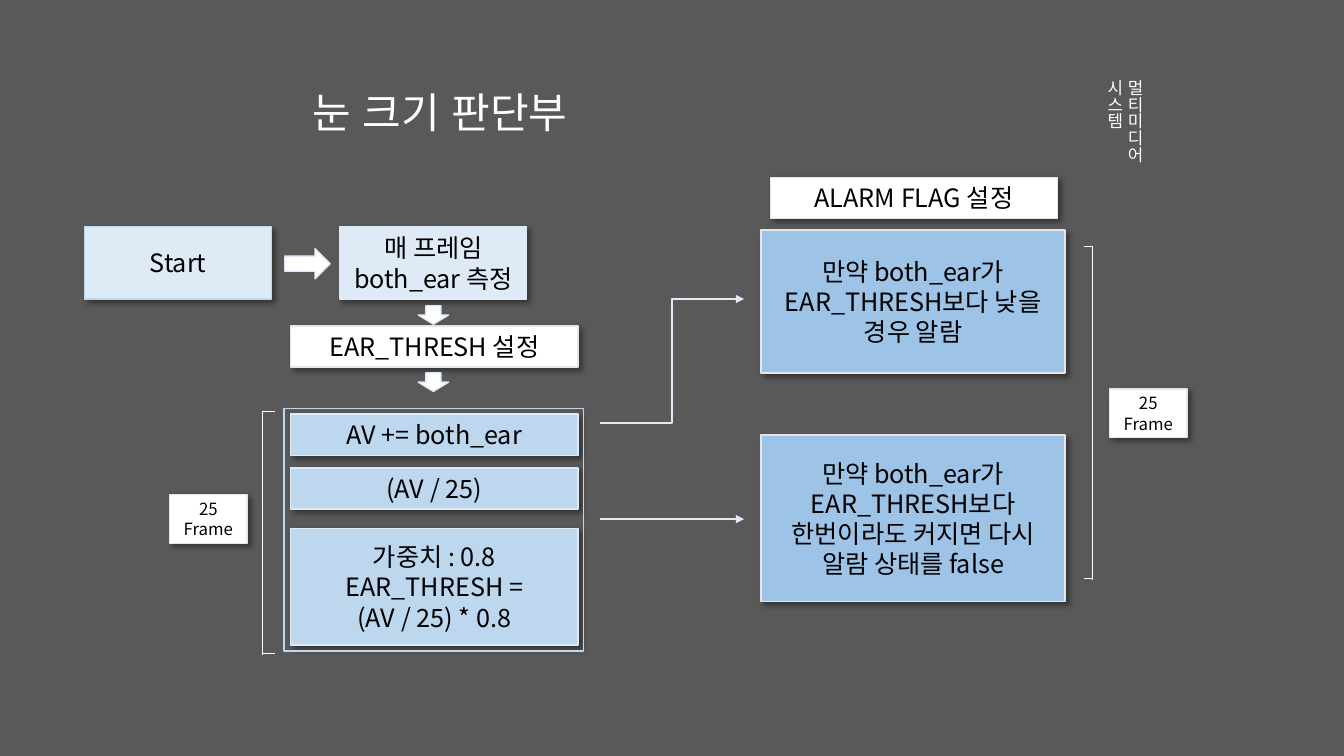
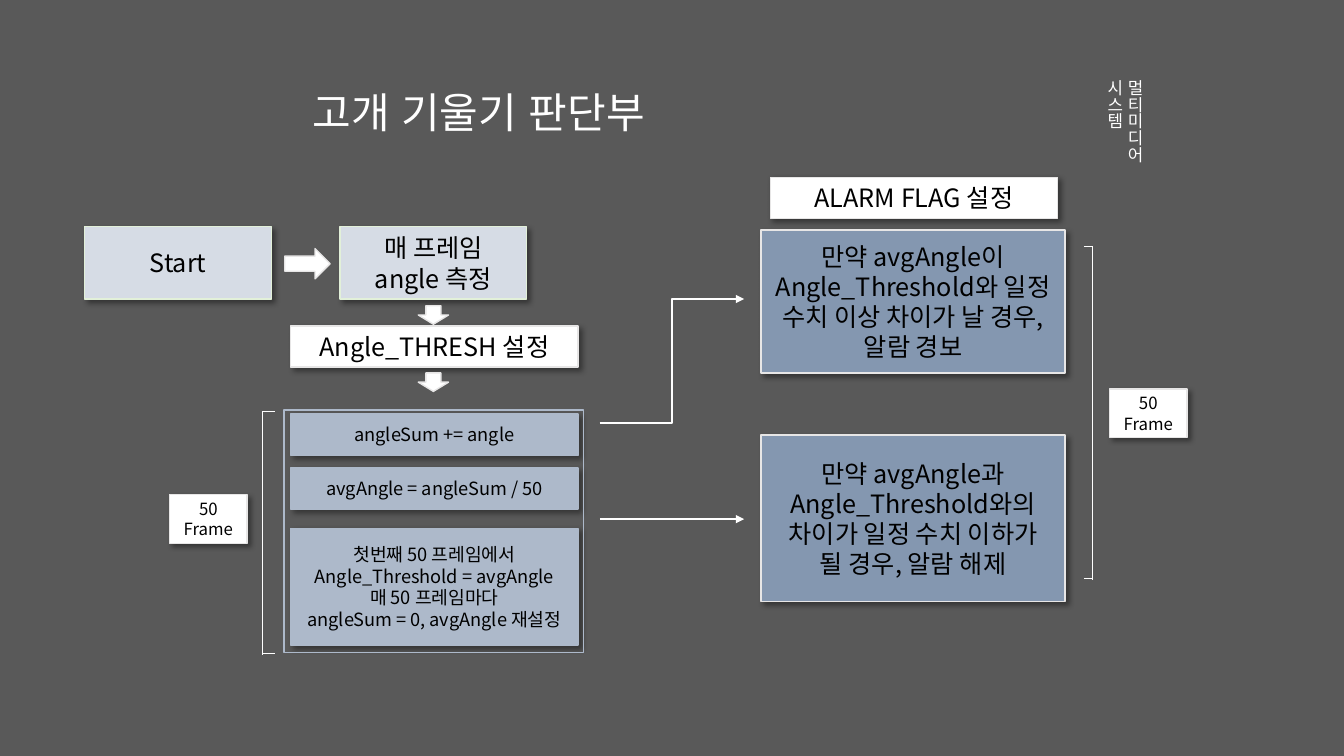
from lxml import etree
from pptx import Presentation
from pptx import util as u
from pptx.dml import color
from pptx.enum import shapes, text
from pptx.oxml import ns

COLS, ROWS = 160, 90
DARK, WHITE, BLACK, GREY = "595959", "FFFFFF", "000000", "E7E6E6"
SANS, HEAD = "Noto Sans CJK KR", "Arial"

FLOWS = [
    dict(
        title="눈 크기 판단부", span=36.2,
        heads=["Start", "매 프레임 both_ear 측정"],
        goal="EAR_THRESH 설정",
        steps=["AV += both_ear", "(AV / 25)",
               "가중치 : 0.8\nEAR_THRESH =\n(AV / 25) * 0.8"],
        flags=["만약 both_ear가\nEAR_THRESH보다 낮을 경우 알람",
               "만약 both_ear가\nEAR_THRESH보다 한번이라도 커지면 다시\n알람 상태를 false"],
        tag="25\nFrame", size=18, top=48.6,
        pale="DEEBF7", mid="BDD7EE", deep="9DC3E6",
        rims=["BDD7EE", "DEEBF7"], edge="DEEBF7", tip="DEEBF7", link="DEEBF7",
    ),
    dict(
        title="고개 기울기 판단부", span=46.3,
        heads=["Start", "매 프레임 angle 측정"],
        goal="Angle_THRESH 설정",
        steps=["angleSum += angle", "avgAngle = angleSum / 50",
               "첫번째 50 프레임에서\nAngle_Threshold = avgAngle\n"
               "매 50 프레임마다\nangleSum = 0, avgAngle 재설정"],
        flags=["만약 avgAngle이 Angle_Threshold와 일정 수치 이상 차이가 날 경우, 알람 경보",
               "만약 avgAngle과 Angle_Threshold와의\n차이가 일정 수치 이하가\n될 경우, 알람 해제"],
        tag="50\nFrame", size=13, top=48.8,
        pale="D6DCE5", mid="ADB9CA", deep="8497B0",
        rims=["E2F0D9", "E2F0D9"], edge="ADB9CA", tip=GREY, link=WHITE,
    ),
]


def hue(code):
    return color.RGBColor.from_string(code)


def sub(node, tag, **attrs):
    return etree.SubElement(node, ns.qn(tag), attrs)


class Deck:
    def __init__(self):
        self.prs = Presentation()
        self.prs.slide_width = u.Inches(13.33)
        self.prs.slide_height = u.Inches(7.5)
        back = self.prs.slide_master.background.fill
        back.solid()
        back.fore_color.rgb = hue(DARK)

    def at(self, *spots):
        sides = (self.prs.slide_width / COLS, self.prs.slide_height / ROWS)
        return [u.Emu(round(n * sides[i % 2])) for i, n in enumerate(spots)]

    def put(self, frame, words, size, ink, font=SANS, align=text.PP_ALIGN.LEFT):
        frame.text = words
        for para in frame.paragraphs:
            para.alignment = align
            for run in para.runs:
                run.font.size = u.Pt(size)
                run.font.color.rgb = hue(ink)
                run.font.name = font
                sub(run._r.get_or_add_rPr(), "a:ea", typeface=font)

    def page(self, title, span):
        self.slide = self.prs.slides.add_slide(self.prs.slide_layouts[5])
        head = self.slide.shapes.title
        head.left, head.top, head.width, head.height = self.at(36, 9.7, span, 7.3)
        frame = head.text_frame
        self.put(frame, title, 30, WHITE, HEAD)
        frame.word_wrap = False
        frame.auto_size = text.MSO_AUTO_SIZE.SHAPE_TO_FIT_TEXT
        frame.vertical_anchor = text.MSO_ANCHOR.TOP
        self.label("멀티미디어 시스템", 132.1, 8.3, 4.8, 18.7)

    def label(self, words, *spot):
        item = self.slide.shapes.add_textbox(*self.at(*spot))
        frame = item.text_frame
        frame.word_wrap = True
        frame.auto_size = text.MSO_AUTO_SIZE.SHAPE_TO_FIT_TEXT
        item._element.txBody.find(ns.qn("a:bodyPr")).set("vert", "eaVert")
        self.put(frame, words, 12, WHITE)

    def shape(self, kind, spot, fill, rim):
        item = self.slide.shapes.add_shape(kind, *self.at(*spot))
        item.shadow.inherit = False
        if fill:
            item.fill.solid()
            item.fill.fore_color.rgb = hue(fill)
        else:
            item.fill.background()
        item.line.color.rgb = hue(rim)
        item.line.width = u.Pt(1)
        return item

    def box(self, words, spot, fill=WHITE, rim=GREY, size=18):
        item = self.shape(shapes.MSO_SHAPE.RECTANGLE, spot, fill, rim)
        glow = sub(item._element.spPr.find(ns.qn("a:effectLst")), "a:outerShdw",
                   blurRad=str(u.Pt(4)), dist=str(u.Pt(3)), dir="2700000",
                   algn="tl", rotWithShape="0")
        sub(sub(glow, "a:srgbClr", val=BLACK), "a:alpha", val="40000")
        frame = item.text_frame
        frame.word_wrap = True
        frame.vertical_anchor = text.MSO_ANCHOR.MIDDLE
        self.put(frame, words, size, BLACK, align=text.PP_ALIGN.CENTER)

    def outline(self, spot, rim):
        self.shape(shapes.MSO_SHAPE.RECTANGLE, spot, None, rim)

    def arrow(self, spot, rim, down=True):
        kind = shapes.MSO_SHAPE.DOWN_ARROW if down else shapes.MSO_SHAPE.RIGHT_ARROW
        self.shape(kind, spot, WHITE, rim)

    def line(self, spot, ink=WHITE, width=0.5, tip=False, bent=False):
        kind = shapes.MSO_CONNECTOR.ELBOW if bent else shapes.MSO_CONNECTOR.STRAIGHT
        item = self.slide.shapes.add_connector(kind, *self.at(*spot))
        item.line.color.rgb = hue(ink)
        item.line.width = u.Pt(width)
        props = item._element.spPr
        if tip:
            sub(props.find(ns.qn("a:ln")), "a:tailEnd", type="triangle")
        sub(props, "a:effectLst")

    def bracket(self, x, top, end, tick):
        self.line((x, top, x, end + 0.2))
        for y in (top, end):
            self.line((x, y, x + tick, y))

    def flow(self, data):
        self.page(data["title"], data["span"])
        for x, words, rim in zip((10.1, 40.5), data["heads"], data["rims"]):
            self.box(words, (x, 27, 22.2, 8.6), data["pale"], rim)
        left, wide, low = 34.6, 34.2, 4.9
        for y, high, words in zip((49.3, 55.7, 62.9), (low, low, 13.9), data["steps"]):
            self.box(words, (left, y, wide, high), data["mid"], data["edge"], data["size"])
        for y, high, words in zip((27.4, 51.8), (17, 19.8), data["flags"]):
            self.box(words, (90.6, y, 36.2, high), data["deep"])
        self.box(data["goal"], (left, 38.8, wide, low))
        self.box("ALARM FLAG 설정", (91.7, 21.1, wide, low))
        for y in (36.4, 44.4):
            self.arrow((49.8, y, 3.6, 2.2), data["tip"])
        self.arrow((33.9, 29.6, 5.4, 3.6), data["tip"], down=False)
        self.outline((33.8, data["top"], 35.7, 28.9), data["mid"])
        self.bracket(31.2, 49, 77.8, 1.5)
        self.bracket(130, 29.3, 68.9, -1)
        for x, y in ((20.2, 58.9), (132.1, 46.3)):
            self.box(data["tag"], (x, y, 9.2, 5.8), size=12)
        for y, end in ((50.4, 35.6), (61.8, 61.8)):
            self.line((71.4, y, 88.6, end), data["link"], 1.25, tip=True, bent=y != end)


def main():
    deck = Deck()
    for data in FLOWS:
        deck.flow(data)
    deck.prs.save("out.pptx")


if __name__ == "__main__":
    main()
